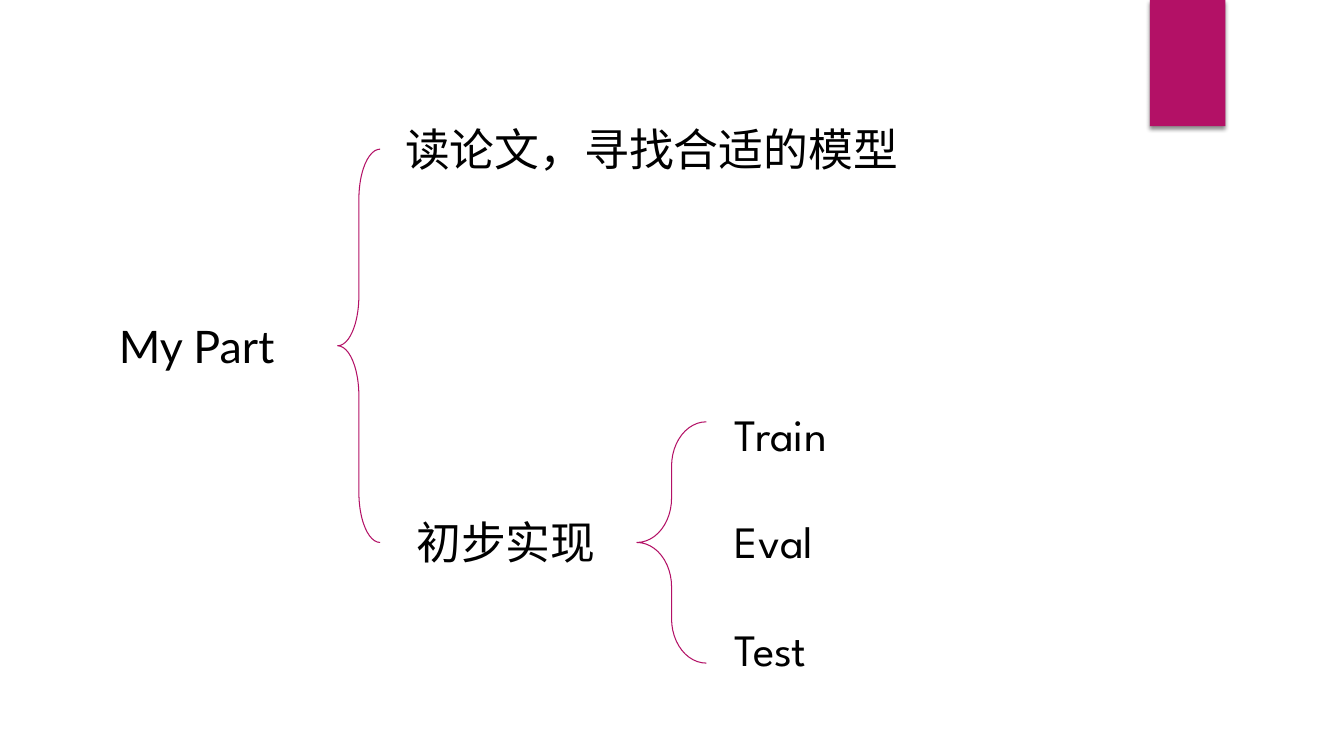
from lxml import etree
from pptx import Presentation
from pptx import util as u
from pptx.dml.color import RGBColor
from pptx.enum import shapes, text
from pptx.oxml import parse_xml
from pptx.oxml.ns import nsdecls, qn

MAGENTA = "B31166"
BLACK = "000000"
CJK = "Noto Sans CJK SC"
LINE_HEIGHT = 1.63
LINE_GAP = u.Pt(38.5)


def colour(value):
    return RGBColor.from_string(value)


def place(shape, left, top, width, height):
    shape.left, shape.top = u.Cm(left), u.Cm(top)
    shape.width, shape.height = u.Cm(width), u.Cm(height)


def write(box, lines, font, align=text.PP_ALIGN.LEFT):
    """Fill a box with one paragraph per line, without bullets."""
    frame = box.text_frame
    frame.word_wrap = True
    frame.auto_size = text.MSO_AUTO_SIZE.SHAPE_TO_FIT_TEXT
    frame.vertical_anchor = text.MSO_ANCHOR.TOP
    for index, line in enumerate(lines):
        para = frame.add_paragraph() if index else frame.paragraphs[0]
        para.alignment = align
        para.line_spacing = 1.0
        para.space_before = LINE_GAP if index else u.Pt(0)
        properties = para._p.get_or_add_pPr()
        properties.set("marL", "0")
        properties.set("indent", "0")
        etree.SubElement(properties, qn("a:buNone"))
        span = para.add_run()
        span.text = line
        span.font.size = u.Pt(32)
        span.font.name = font
        span.font.color.rgb = colour(BLACK)
        east_asian = etree.SubElement(span._r.get_or_add_rPr(), qn("a:ea"))
        east_asian.set("typeface", CJK)


def add_accent(page, left, top, width, height):
    tab = page.shapes.add_shape(shapes.MSO_SHAPE.RECTANGLE, u.Cm(left), u.Cm(top),
                                u.Cm(width), u.Cm(height))
    tab.fill.solid()
    tab.fill.fore_color.rgb = colour(MAGENTA)
    tab.line.fill.background()
    tab._element.spPr.append(parse_xml(
        f'<a:effectLst {nsdecls("a")}>'
        '<a:outerShdw blurRad="38100" dist="25400" dir="5400000" rotWithShape="0">'
        '<a:srgbClr val="000000"><a:alpha val="45000"/></a:srgbClr>'
        '</a:outerShdw></a:effectLst>'))


def add_brace(page, left, top, width, height, curve):
    brace = page.shapes.add_shape(shapes.MSO_SHAPE.LEFT_BRACE, u.Cm(left), u.Cm(top),
                                  u.Cm(width), u.Cm(height))
    brace.adjustments[0] = curve
    brace.shadow.inherit = False
    brace.fill.background()
    brace.line.color.rgb = colour(MAGENTA)
    brace.line.width = u.Pt(0.75)


def add_topic(page, left, middle, width, label, font, align):
    """Add a one-line label centred on the height given by middle."""
    box = page.shapes.add_textbox(0, 0, 0, 0)
    place(box, left, middle - LINE_HEIGHT / 2, width, LINE_HEIGHT)
    write(box, [label], font, align)


def add_outline(page, left, top, height):
    """Join the title to its two topics, one at each tip of the brace."""
    title = page.shapes.title
    place(title, left, top + height / 2 - LINE_HEIGHT / 2, 6, LINE_HEIGHT)
    write(title, ["My Part"], "Lato", text.PP_ALIGN.JUSTIFY)
    add_brace(page, left + 5.77, top, 1.07, height, 1.18)
    add_topic(page, left + 7.22, top, 13.23, "读论文，寻找合适的模型", CJK,
              text.PP_ALIGN.JUSTIFY)
    add_topic(page, left + 7.5, top + height, 6.22, "初步实现", "League Spartan",
              text.PP_ALIGN.LEFT)


def add_steps(page, left, middle):
    """Join a topic to its list of steps, both centred on middle."""
    add_brace(page, left, middle - 3.04, 1.75, 6.08, 0.64)
    steps = page.placeholders[1]
    place(steps, left + 2.21, middle - 3.56, 3.61, 7.09)
    write(steps, ["Train", "Eval", "Test"], "League Spartan")


def main():
    deck = Presentation()
    deck.slide_width, deck.slide_height = u.Cm(33.87), u.Cm(19.05)
    page = deck.slides.add_slide(deck.slide_layouts[1])
    outline_top, outline_height = 3.76, 9.91
    add_accent(page, 28.98, 0, 1.9, 3.18)
    add_outline(page, 2.74, outline_top, outline_height)
    add_steps(page, 16.05, outline_top + outline_height)
    deck.save("out.pptx")


if __name__ == "__main__":
    main()
